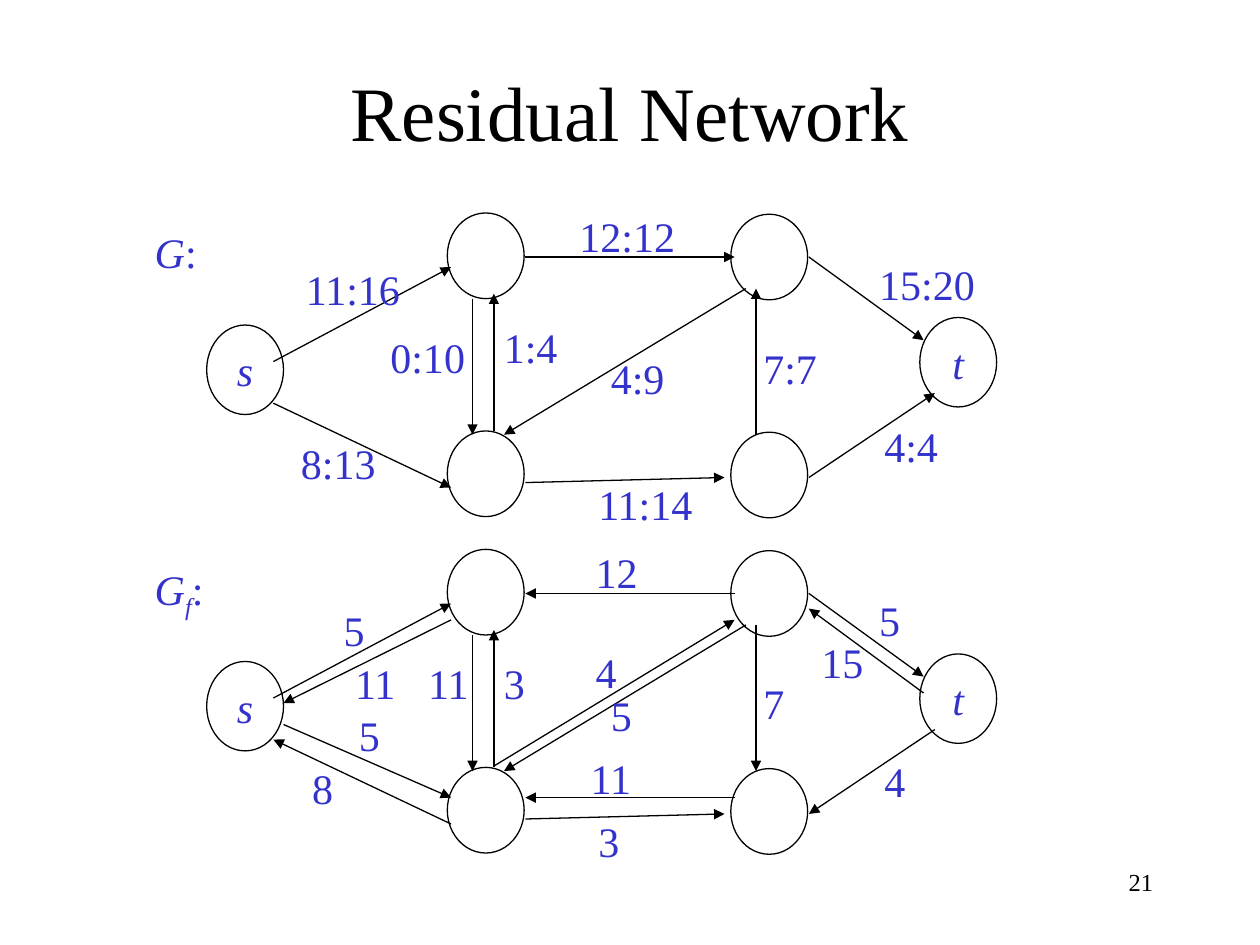
from lxml.etree import SubElement
from pptx import Presentation
from pptx.dml.color import RGBColor
from pptx.enum.shapes import MSO_CONNECTOR, MSO_SHAPE
from pptx.enum.text import MSO_ANCHOR, MSO_AUTO_SIZE, PP_ALIGN
from pptx.oxml.ns import qn
from pptx.util import Inches, Pt

FONT = "Times New Roman"
BLACK, BLUE = "000000", "3333CC"
RESIDUAL_SHIFT = 2.67  # distance from the flow network down to the residual one
NODE_WIDTH = 0.61

# left, top, height, name
NODES = [
    (1.64, 2.58, 0.71, "s"),
    (3.55, 1.69, 0.68, ""),
    (3.55, 3.42, 0.68, ""),
    (5.8, 1.7, 0.68, ""),
    (5.8, 3.43, 0.68, ""),
    (7.3, 2.52, 0.71, "t"),
]

# start, end, whether the residual network reverses the edge
EDGES = [
    ((2.17, 2.87), (3.58, 2.12), False),
    ((2.17, 3.2), (3.58, 3.87), True),
    ((4.17, 3.83), (5.75, 3.79), False),
    ((6.42, 3.79), (7.42, 3.12), True),
    ((4.17, 2.04), (5.83, 2.04), True),
    ((6.42, 2.04), (7.33, 2.7), False),
    ((3.92, 3.42), (3.92, 2.33), False),
    ((5.92, 2.29), (4, 3.45), False),
    ((6, 3.45), (6, 2.29), True),
    ((3.75, 2.37), (3.75, 3.45), False),
]

RESIDUAL_ONLY_EDGES = [
    ((5.83, 6.33), (4.17, 6.33)),
    ((7.33, 5.5), (6.42, 4.83)),
    ((3.92, 6.08), (5.83, 4.92)),
    ((3.58, 4.92), (2.25, 5.58)),
    ((2.25, 5.75), (3.58, 6.33)),
]

FLOW_LABELS = [
    (2.33, 2.04, "11:16"), (3, 2.58, "0:10"), (2.29, 3.42, "8:13"),
    (3.9, 2.5, "1:4"), (4.75, 2.75, "4:9"), (4.5, 1.62, "12:12"),
    (5.96, 2.67, "7:7"), (6.88, 2, "15:20"), (6.92, 3.29, "4:4"),
    (4.65, 3.75, "11:14"),
]

RESIDUAL_LABELS = [
    (2.63, 4.75, "5"), (3.3, 5.17, "11"), (2.38, 6, "8"), (3.9, 5.17, "3"),
    (4.75, 5.42, "5"), (4.63, 4.29, "12"), (5.96, 5.33, "7"),
    (6.88, 4.67, "5"), (6.92, 5.95, "4"), (4.65, 6.42, "3"),
    (4.59, 5.92, "11"), (6.42, 5, "15"), (4.63, 5.08, "4"),
    (2.72, 5.17, "11"), (2.75, 5.58, "5"),
]


def color(hex_value):
    return RGBColor.from_string(hex_value)


def write(shape, text, size=24, fill=BLUE, italic=False, subscript=False,
          align=PP_ALIGN.LEFT):
    """Append one formatted run to the first paragraph of the shape."""
    paragraph = shape.text_frame.paragraphs[0]
    paragraph.alignment = align
    run = paragraph.add_run()
    run.text = text
    run.font.name = FONT
    run.font.size = Pt(size)
    run.font.italic = italic
    run.font.color.rgb = color(fill)
    if subscript:
        run.font._element.set("baseline", "-25000")


def add_text_box(slide, left, top, width, height=0.5, wrap=False):
    """Add a text box that grows with its text unless it wraps."""
    box = slide.shapes.add_textbox(
        Inches(left), Inches(top), Inches(width), Inches(height))
    box.text_frame.word_wrap = wrap
    if not wrap:
        box.text_frame.auto_size = MSO_AUTO_SIZE.SHAPE_TO_FIT_TEXT
    return box


def add_label(slide, left, top, text):
    colons = text.count(":")
    width = 0.2 + 0.17 * (len(text) - colons) + 0.09 * colons
    write(add_text_box(slide, left, top, width), text)


def add_node(slide, left, top, height, name):
    node = slide.shapes.add_shape(
        MSO_SHAPE.OVAL, Inches(left), Inches(top),
        Inches(NODE_WIDTH), Inches(height))
    node.shadow.inherit = False
    node.fill.background()
    node.line.color.rgb = color(BLACK)
    node.line.width = Pt(0.75)
    node.text_frame.vertical_anchor = MSO_ANCHOR.MIDDLE
    if name:
        write(node, name, italic=True, align=PP_ALIGN.CENTER)


def add_arrow(slide, start, end, shift=0):
    edge = slide.shapes.add_connector(
        MSO_CONNECTOR.STRAIGHT,
        Inches(start[0]), Inches(start[1] + shift),
        Inches(end[0]), Inches(end[1] + shift))
    edge.line.color.rgb = color(BLACK)
    edge.line.width = Pt(0.75)
    SubElement(edge.get_or_add_ln(), qn("a:tailEnd"), type="triangle")
    SubElement(edge._element.spPr, qn("a:effectLst"))


def add_network(slide, labels, shift=0, residual=False):
    for left, top, height, name in NODES:
        add_node(slide, left, top + shift, height, name)
    for start, end, reverses in EDGES:
        if residual and reverses:
            start, end = end, start
        add_arrow(slide, start, end, shift)
    for label in labels:
        add_label(slide, *label)


def add_title(slide, text):
    title = slide.shapes.title
    title.left, title.top = Inches(0.75), Inches(0.25)
    title.width, title.height = Inches(8.5), Inches(1.25)
    title.text_frame.vertical_anchor = MSO_ANCHOR.MIDDLE
    write(title, text, size=44, fill=BLACK, align=PP_ALIGN.CENTER)


def main():
    presentation = Presentation()
    presentation.slide_width = Inches(10)
    presentation.slide_height = Inches(7.5)
    slide = presentation.slides.add_slide(presentation.slide_layouts[5])
    add_title(slide, "Residual Network")

    add_network(slide, FLOW_LABELS)
    flow_name = add_text_box(slide, 1.13, 1.75, 0.53)
    write(flow_name, "G", italic=True)
    write(flow_name, ":")

    add_network(slide, RESIDUAL_LABELS, RESIDUAL_SHIFT, residual=True)
    for start, end in RESIDUAL_ONLY_EDGES:
        add_arrow(slide, start, end)
    residual_name = add_text_box(slide, 1.13, 4.42, 0.6, 0.56)
    write(residual_name, "G", italic=True)
    write(residual_name, "f", italic=True, subscript=True)
    write(residual_name, ":")

    page_number = add_text_box(slide, 7.17, 6.83, 2.08, wrap=True)
    write(page_number, "21", size=14, fill=BLACK, align=PP_ALIGN.RIGHT)
    presentation.save("out.pptx")


if __name__ == "__main__":
    main()
